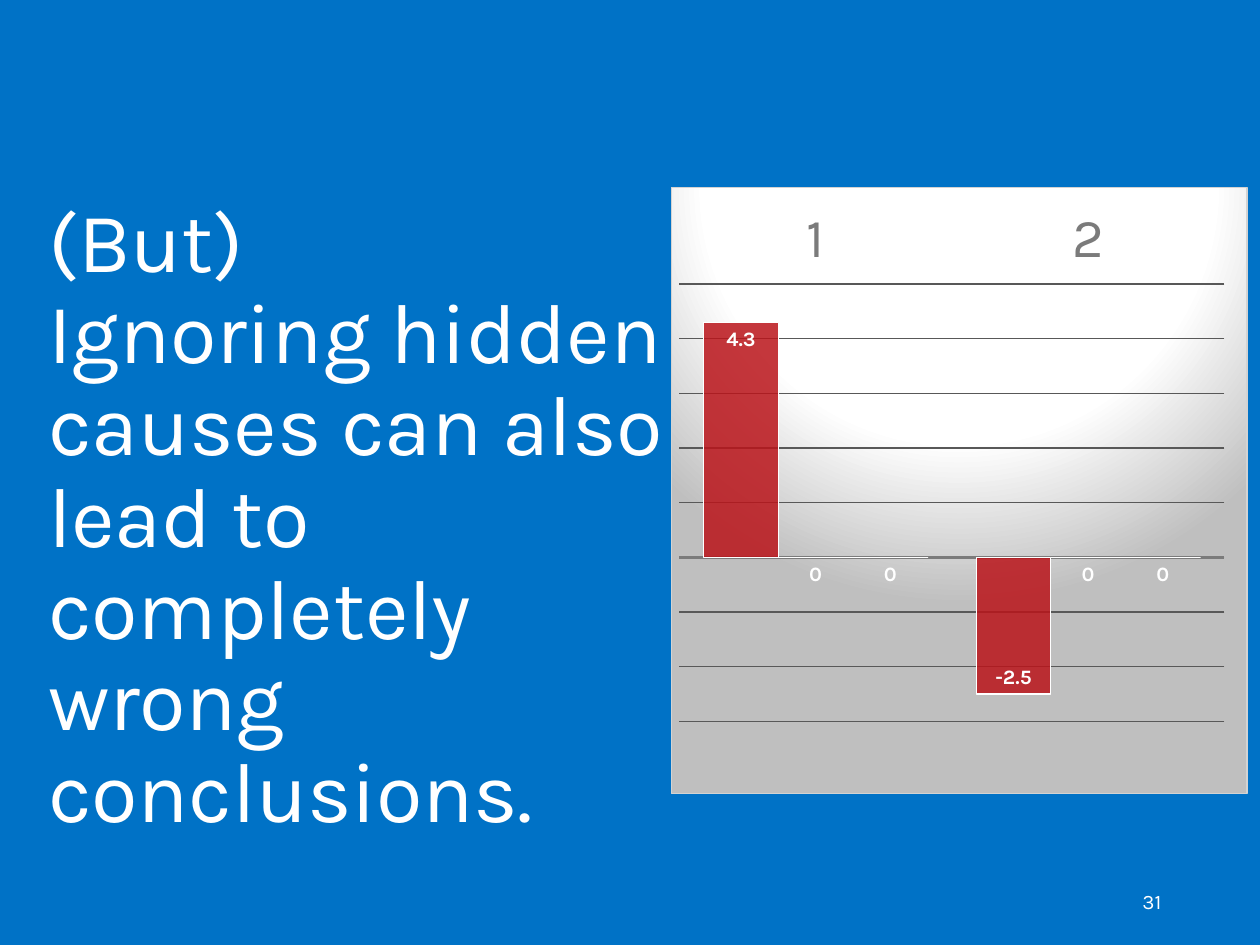
from dataclasses import dataclass

from lxml import etree
from pptx import Presentation
from pptx.chart.data import CategoryChartData
from pptx.dml.color import RGBColor
from pptx.enum.chart import XL_CHART_TYPE as ChartType
from pptx.enum.chart import XL_LABEL_POSITION as LabelPosition
from pptx.enum.chart import XL_TICK_LABEL_POSITION as TickLabels
from pptx.enum.chart import XL_TICK_MARK as TickMark
from pptx.enum.text import MSO_ANCHOR as Anchor
from pptx.enum.text import MSO_AUTO_SIZE as AutoSize
from pptx.enum.text import PP_ALIGN as Align
from pptx.oxml import parse_xml
from pptx.oxml.ns import nsdecls, qn
from pptx.util import Pt


@dataclass(frozen=True)
class Theme:
    font: str = "Karla"
    blue: str = "0072C6"
    white: str = "FFFFFF"
    black: str = "000000"
    axis: str = "7B7B7B"
    grid: str = "585858"
    border: str = "D3D3D3"
    shade: str = "BFBFBF"
    bars: tuple = ("BA141A", "0072C6", "442359")
    bar_alpha: int = 85
    title_size: float = 49.5
    category_size: float = 32
    chart_size: float = 10
    label_size: float = 11.9
    number_size: float = 12
    thin: float = 0.75
    thick: float = 1.5


class SlideBuilder:
    def __init__(self, slide, theme):
        self.slide = slide
        self.theme = theme
        background = slide.background.fill
        background.solid()
        background.fore_color.rgb = RGBColor.from_string(theme.blue)

    def style_font(self, font, size, color, bold=False):
        font.name = self.theme.font
        font.size = Pt(size)
        font.bold = bold
        font.color.rgb = RGBColor.from_string(color)

    def style_line(self, line, color, width):
        line.color.rgb = RGBColor.from_string(color)
        line.width = Pt(width)

    def title(self, wording, left, top, width, height):
        title = self.slide.shapes.title
        title.left, title.top = Pt(left), Pt(top)
        title.width, title.height = Pt(width), Pt(height)
        frame = title.text_frame
        frame.word_wrap = True
        frame.auto_size = AutoSize.NONE
        frame.vertical_anchor = Anchor.TOP
        frame.margin_left = frame.margin_right = Pt(11.52)
        frame.margin_top = frame.margin_bottom = Pt(7.2)
        message = frame.paragraphs[0]
        message.text = wording
        message.alignment = Align.LEFT
        message.line_spacing = 0.9
        self.style_font(message.font, self.theme.title_size, self.theme.white)
        for run in message.runs:
            run.font._element.set("spc", "-10")

    def slide_number(self, number, left, top, width, height):
        box = self.slide.shapes.add_textbox(Pt(left), Pt(top), Pt(width), Pt(height))
        frame = box.text_frame
        frame.word_wrap = True
        frame.vertical_anchor = Anchor.MIDDLE
        page = frame.paragraphs[0]
        page.text = str(number)
        page.alignment = Align.RIGHT
        self.style_font(page.font, self.theme.number_size, self.theme.white)

    def column_chart(self, categories, effects, left, top, width, height):
        theme = self.theme
        chart_data = CategoryChartData()
        chart_data.categories = categories
        for name, values in effects.items():
            chart_data.add_series(name, values)
        chart = self.slide.shapes.add_chart(
            ChartType.COLUMN_CLUSTERED, Pt(left), Pt(top), Pt(width), Pt(height), chart_data
        ).chart
        chart.has_title = False
        chart.has_legend = False
        self.style_font(chart.font, theme.chart_size, theme.black)
        self.style_axes(chart)
        columns = chart.plots[0]
        columns.gap_width = 65
        columns.overlap = 0
        columns.vary_by_categories = False
        for series, color in zip(columns.series, theme.bars):
            self.style_series(series, color)
        self.place_plot(chart, x=0.014, y=0.034, w=0.947, h=0.847)
        self.shade_chart(chart)

    def style_axes(self, chart):
        theme = self.theme
        category_axis = chart.category_axis
        category_axis.major_tick_mark = TickMark.NONE
        category_axis.minor_tick_mark = TickMark.NONE
        category_axis.tick_label_position = TickLabels.HIGH
        self.style_font(category_axis.tick_labels.font, theme.category_size, theme.axis)
        self.style_line(category_axis.format.line, theme.axis, theme.thick)
        value_axis = chart.value_axis
        value_axis.visible = False
        value_axis.minimum_scale, value_axis.maximum_scale = -3, 5
        value_axis.major_unit = 1
        value_axis.has_major_gridlines = True
        self.style_line(value_axis.major_gridlines.format.line, theme.grid, theme.thin)

    def style_series(self, series, color):
        theme = self.theme
        series.invert_if_negative = False
        fill = series.format.fill
        fill.solid()
        fill.fore_color.rgb = RGBColor.from_string(color)
        solid = series.format._element.spPr.find(qn("a:solidFill")) if hasattr(
            series.format._element, "spPr"
        ) else series._element.find(qn("c:spPr")).find(qn("a:solidFill"))
        etree.SubElement(solid[0], qn("a:alpha"), val=str(theme.bar_alpha * 1000))
        self.style_line(series.format.line, theme.white, theme.thin)
        labels = series.data_labels
        labels.show_value = True
        labels.position = LabelPosition.INSIDE_END
        self.style_font(labels.font, theme.label_size, theme.white, bold=True)

    def place_plot(self, chart, **bounds):
        plot_area = chart._chartSpace.chart.plotArea
        for previous in plot_area.findall(qn("c:layout")):
            plot_area.remove(previous)
        layout = etree.Element(qn("c:layout"))
        manual = etree.SubElement(layout, qn("c:manualLayout"))
        settings = {"layoutTarget": "outer", "xMode": "edge", "yMode": "edge", **bounds}
        for tag, setting in settings.items():
            etree.SubElement(manual, qn(f"c:{tag}"), val=str(setting))
        plot_area.insert(0, layout)

    def shade_chart(self, chart):
        theme = self.theme
        stops = "".join(
            f'<a:gs pos="{percent * 1000}"><a:srgbClr val="{color}"/></a:gs>'
            for percent, color in ((0, theme.white), (61, theme.white), (100, theme.shade))
        )
        surface = parse_xml(
            f'<c:spPr {nsdecls("c", "a")}><a:gradFill><a:gsLst>{stops}</a:gsLst>'
            '<a:path path="circle">'
            '<a:fillToRect l="50000" t="-80000" r="50000" b="180000"/></a:path></a:gradFill>'
            f'<a:ln w="{Pt(theme.thin)}"><a:solidFill><a:srgbClr val="{theme.border}"/>'
            "</a:solidFill></a:ln></c:spPr>"
        )
        chart._chartSpace.chart.addnext(surface)


def main():
    deck = Presentation()
    deck.slide_width, deck.slide_height = Pt(734.4), Pt(550.8)
    builder = SlideBuilder(deck.slides.add_slide(deck.slide_layouts[5]), Theme())
    builder.title(
        "(But)\vIgnoring hidden causes can also lead to completely wrong conclusions.",
        16.56, 108.72, 387.36, 338.4,
    )
    effects = {"Series 1": (4.3, -2.5), "Series 2": (0, 0), "Series 3": (0, 0)}
    builder.column_chart(("1", "2"), effects, 390.96, 108.72, 336.24, 354.24)
    builder.slide_number(31, 518.4, 510.48, 165.6, 29.52)
    deck.save("out.pptx")


if __name__ == "__main__":
    main()
